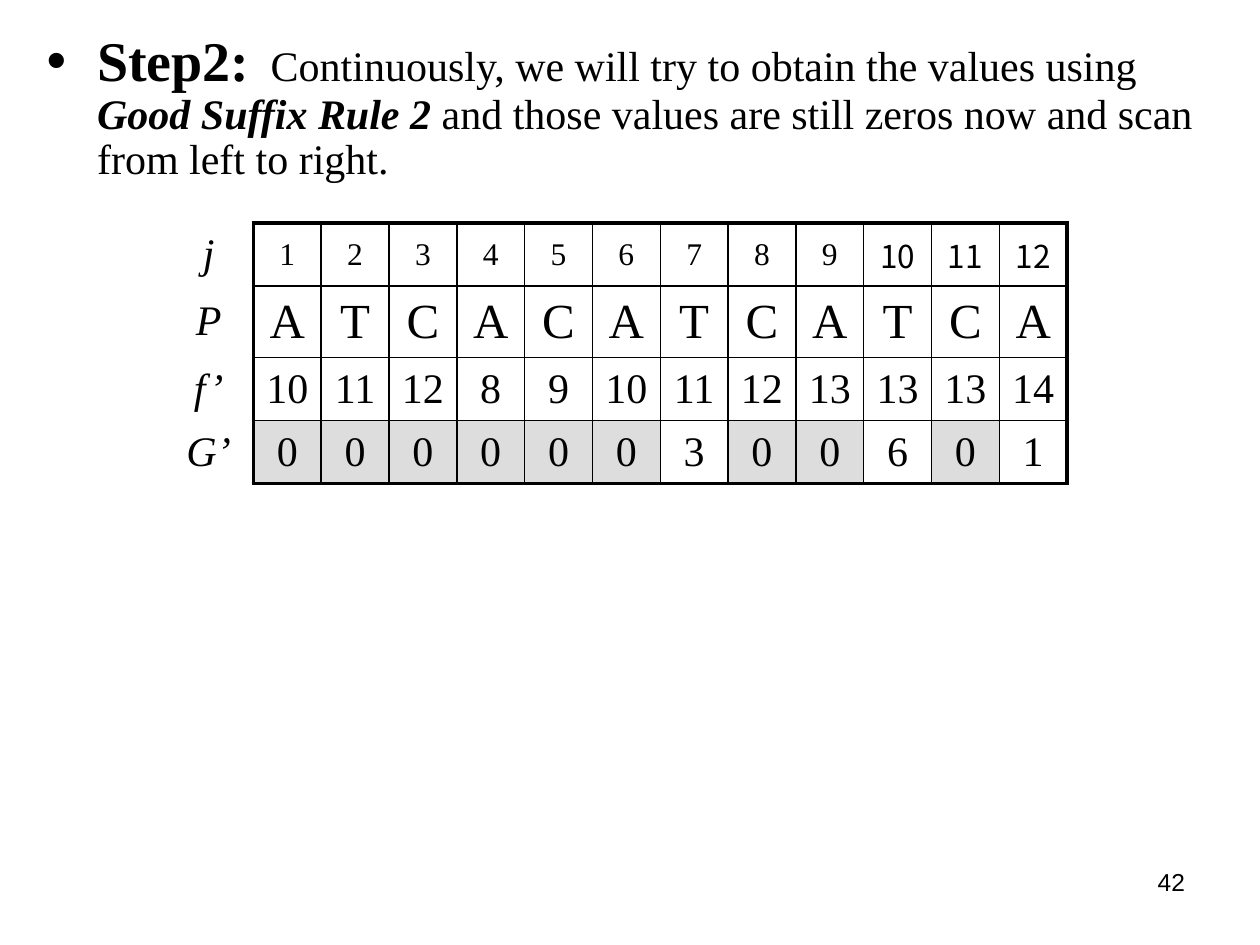
from lxml.etree import SubElement
from pptx import Presentation
from pptx.dml.color import RGBColor
from pptx.enum.text import MSO_ANCHOR, MSO_AUTO_SIZE, PP_ALIGN
from pptx.oxml.ns import qn
from pptx.util import Pt

INK = {"text": "000000", "zero": "DDDDDD", "value": "FFFFFF"}
SERIF, SANS, CJK = "Times New Roman", "Arial", "Noto Sans CJK TC"
THIN, THICK = 1, 2.25


class Deck:
    """Holds the style and the current slide."""

    def __init__(self):
        self.prs = Presentation()
        self.prs.slide_width, self.prs.slide_height = Pt(720), Pt(540)
        self.slide = self.prs.slides.add_slide(self.prs.slide_layouts[1])
        title = self.slide.shapes.title
        title.element.getparent().remove(title.element)

    def put(self, item, form):
        for key, val in form.items():
            setattr(item, key, val)

    def run(self, par, text, size, face=SERIF, bold=False, italic=False):
        run = par.add_run()
        run.text = text
        self.put(run.font, {"size": Pt(size), "name": face,
                            "bold": bold, "italic": italic})
        run.font.color.rgb = RGBColor.from_string(INK["text"])

    def place(self, shape, box):
        names = ("left", "top", "width", "height")
        self.put(shape, dict(zip(names, map(Pt, box))))

    def bullet(self, box, parts):
        body = self.slide.placeholders[1]
        self.place(body, box)
        frame = body.text_frame
        self.put(frame, {"word_wrap": True, "auto_size": MSO_AUTO_SIZE.NONE,
                         "vertical_anchor": MSO_ANCHOR.TOP})
        par = frame.paragraphs[0]
        props = par._p.get_or_add_pPr()
        props.set("marL", str(Pt(28.8)))
        props.set("indent", str(Pt(-28.8)))
        SubElement(props, qn("a:buChar"), char="•")
        self.put(par, {"line_spacing": 0.9, "space_before": Pt(0),
                       "alignment": PP_ALIGN.LEFT})
        for text, size, form in parts:
            self.run(par, text, size, **form)

    def number(self, box, text):
        frame = self.slide.shapes.add_textbox(*map(Pt, box)).text_frame
        frame.word_wrap = True
        par = frame.paragraphs[0]
        par.alignment = PP_ALIGN.RIGHT
        self.run(par, text, 14, SANS)

    def edges(self, cell, sides):
        props = cell._tc.get_or_add_tcPr()
        for side in "LRTB":
            width = sides.get(side, 0)
            line = SubElement(props, qn(f"a:ln{side}"), w=str(Pt(width)))
            if width:
                fill = SubElement(line, qn("a:solidFill"))
                SubElement(fill, qn("a:srgbClr"), val=INK["text"])
            else:
                SubElement(line, qn("a:noFill"))

    def cell(self, cell, text, size, face, italic, sides, fill):
        self.edges(cell, sides)
        cell.vertical_anchor = MSO_ANCHOR.MIDDLE
        if fill:
            cell.fill.solid()
            cell.fill.fore_color.rgb = RGBColor.from_string(INK[fill])
        else:
            cell.fill.background()
        par = cell.text_frame.paragraphs[0]
        par.alignment = PP_ALIGN.CENTER
        self.run(par, text, size, face, italic=italic)

    def grid(self, left, top, wides, highs, rows):
        last, end = len(rows) - 1, len(wides) - 1
        table = self.slide.shapes.add_table(
            len(rows), len(wides), Pt(left), Pt(top),
            Pt(sum(wides)), Pt(sum(highs))).table
        self.put(table, {"first_row": False, "horz_banding": False})
        for col, wide in zip(table.columns, wides):
            col.width = Pt(wide)
        for r, (name, size, vals) in enumerate(rows):
            table.rows[r].height = Pt(highs[r])
            # Row label: only the frame on its right
            self.cell(table.cell(r, 0), name, 24, SERIF, True,
                      {"R": THICK}, None)
            for c, val in enumerate(vals, 1):
                sides = {"L": THICK if c == 1 else THIN,
                         "R": THICK if c == end else THIN,
                         "T": THICK if r == 0 else THIN,
                         "B": THICK if r == last else THIN}
                face = CJK if r == 0 and c > 9 else SERIF
                fill = None
                if r == last:
                    fill = "zero" if val == "0" else "value"
                self.cell(table.cell(r, c), val, size, face, False,
                          sides, fill)


def main():
    deck = Deck()

    # Step text
    deck.bullet((19.5, 15.1, 674.6, 93.6), [
        ("Step2:", 32, {"bold": True}),
        ("  Continuously, we will try to obtain the values using ", 24, {}),
        ("Good Suffix Rule 2", 24, {"bold": True, "italic": True}),
        (" and those values are still zeros now and scan from left to right.",
         24, {}),
    ])

    # Pattern table
    deck.grid(93.6, 127.4, [51.2] + [38.75] * 12, [36, 41, 36, 36], [
        ("j", 18, [str(n) for n in range(1, 13)]),
        ("P", 28, "ATCACATCATCA"),
        ("f’", 24, "10 11 12 8 9 10 11 12 13 13 13 14".split()),
        ("G’", 24, "000000300601"),
    ])

    # Page number
    deck.number((516.2, 491.8, 168, 37.4), "42")
    deck.prs.save("out.pptx")


if __name__ == "__main__":
    main()
